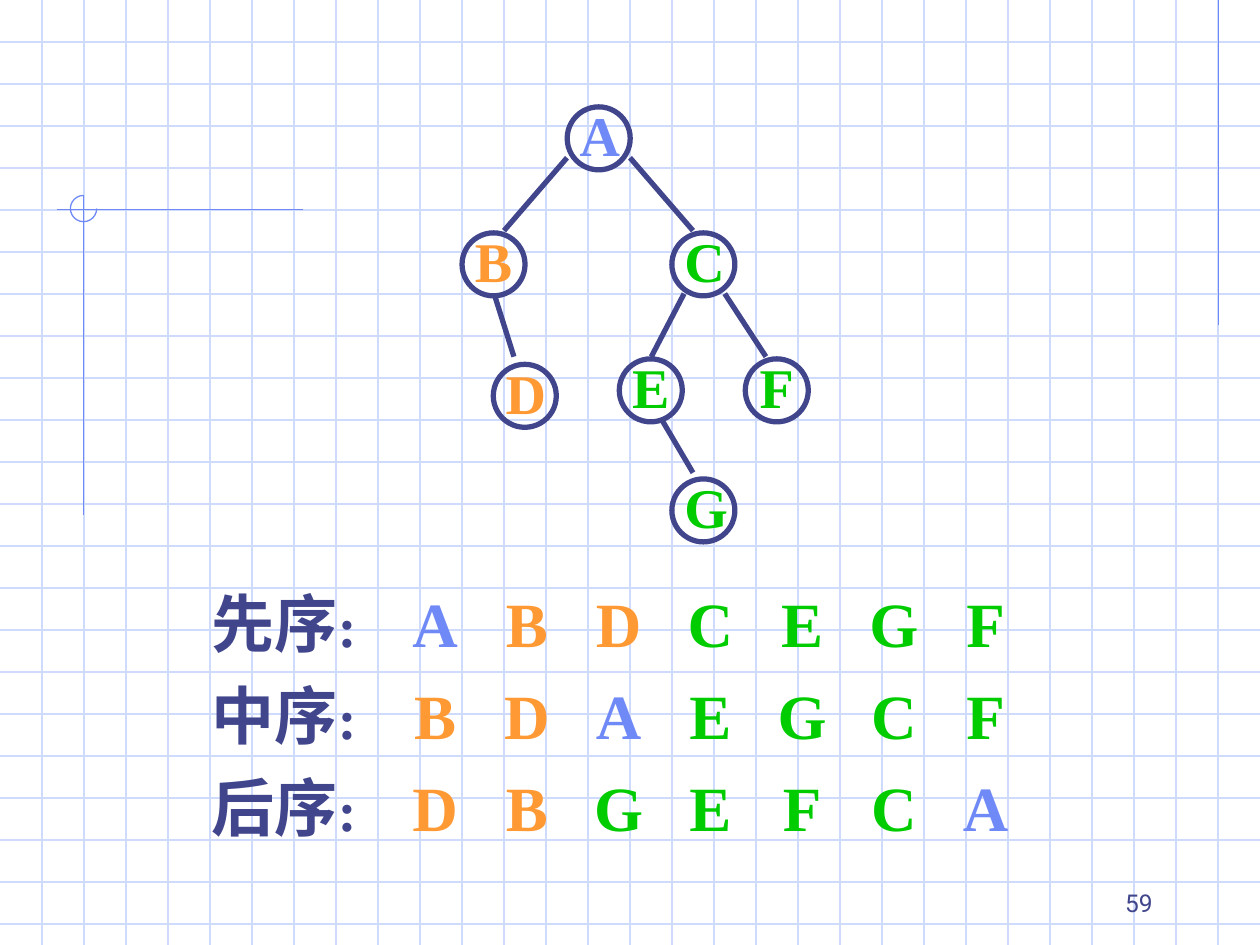
import lxml.etree
import pptx
import pptx.dml.color
import pptx.enum.shapes
import pptx.enum.text
import pptx.oxml.ns
import pptx.util

Cm = pptx.util.Cm
Pt = pptx.util.Pt
ALIGN = pptx.enum.text.PP_ALIGN
ANCHOR = pptx.enum.text.MSO_ANCHOR
SHAPE = pptx.enum.shapes.MSO_SHAPE

THEME = {
    "ink": "40458C", "root": "6F89F7", "left": "FF9933", "right": "00CC00",
    "grid": "CFDBFD", "serif": "Times New Roman", "sans": "Roboto",
    "node": 32, "order": 36, "colon": 32, "page": 14, "thin": 0.75, "thick": 3,
}

# Letter: centre x, centre y (cm), branch of the tree
NODES = {
    "A": (12.07, 2.79, "root"),
    "B": (9.95, 5.33, "left"),
    "C": (14.18, 5.33, "right"),
    "D": (10.58, 7.98, "left"),
    "E": (13.12, 7.87, "right"),
    "F": (15.66, 7.87, "right"),
    "G": (14.18, 10.29, "right"),
}
EDGES = [
    (11.43, 3.18, 10.16, 4.65),
    (12.7, 3.18, 13.97, 4.65),
    (9.96, 5.92, 10.36, 7.19),
    (13.79, 5.92, 13.13, 7.19),
    (14.61, 5.92, 15.44, 7.19),
    (13.34, 8.46, 13.97, 9.53),
]
ORDERS = [("先序", "ABDCEGF"), ("中序", "BDAEGCF"), ("后序", "DBGEFCA")]
RULES = [
    (24.56, 0, 24.56, 6.55),
    (6.1, 4.22, 1.14, 4.22),
    (1.69, 3.94, 1.69, 10.39),
]

WIDE, HIGH = 25.4, 19.05
STEP = 2.54 / 3
SIZE = 1.27
FIRST, PITCH = 4.5, 1.85

deck = pptx.Presentation()
deck.slide_width, deck.slide_height = Cm(WIDE), Cm(HIGH)
slide = deck.slides.add_slide(deck.slide_layouts[6])


def tint(name):
    return pptx.dml.color.RGBColor.from_string(THEME[name])


def rule(ends, color, width):
    line = slide.shapes.add_connector(
        pptx.enum.shapes.MSO_CONNECTOR.STRAIGHT, *map(Cm, ends))
    line.line.color.rgb = tint(color)
    line.line.width = Pt(THEME[width])
    props = line._element.spPr
    lxml.etree.SubElement(props, pptx.oxml.ns.qn("a:effectLst"))


def ring(kind, place, color, width):
    form = slide.shapes.add_shape(kind, *map(Cm, place))
    form.shadow.inherit = False
    form.fill.background()
    form.line.color.rgb = tint(color)
    form.line.width = Pt(THEME[width])
    return form


def write(paras, place, font="serif", bold=True, align=ALIGN.LEFT,
          anchor=ANCHOR.TOP, before=0, lines=None, tabs=(), grow=True):
    """Add a text box; each paragraph is a list of (text, colour, size)."""
    frame = slide.shapes.add_textbox(*map(Cm, place)).text_frame
    frame.word_wrap = True
    frame.vertical_anchor = anchor
    if grow:
        frame.auto_size = pptx.enum.text.MSO_AUTO_SIZE.SHAPE_TO_FIT_TEXT
    for i, runs in enumerate(paras):
        para = frame.add_paragraph() if i else frame.paragraphs[0]
        para.alignment = align
        para.space_before = Pt(before)
        if lines:
            para.line_spacing = lines
        if tabs:
            props = para._p.get_or_add_pPr()
            stops = lxml.etree.SubElement(props, pptx.oxml.ns.qn("a:tabLst"))
            for stop in tabs:
                lxml.etree.SubElement(stops, pptx.oxml.ns.qn("a:tab"),
                                      pos=str(Cm(stop)), algn="ctr")
        for text, color, size in runs:
            run = para.add_run()
            run.text = text
            run.font.name = THEME[font]
            run.font.size = Pt(THEME[size])
            run.font.bold = bold
            run.font.color.rgb = tint(color)


for i in range(1, 23):
    rule((0, i * STEP, WIDE, i * STEP), "grid", "thin")
for i in range(1, 30):
    rule((i * STEP, 0, i * STEP, HIGH), "grid", "thin")
for ends in RULES:
    rule(ends, "root", "thin")
curve = ring(SHAPE.ARC, (1.42, 3.94, 0.53, 0.53), "root", "thin")
# Three quarters of a turn: 270 degrees in units of 5/3 degree
curve.adjustments[0], curve.adjustments[1] = 0, 162

for letter, (x, y, branch) in NODES.items():
    left, top = x - SIZE / 2, y - SIZE / 2
    write([[(letter, branch, "node")]], (left, top - 0.25, SIZE, 1.63),
          align=ALIGN.CENTER, before=20)
for x, y, branch in NODES.values():
    ring(SHAPE.OVAL, (x - SIZE / 2, y - SIZE / 2, SIZE, SIZE), "ink", "thick")
for ends in EDGES:
    rule(ends, "ink", "thick")

rows = [
    [(label, "ink", "order"), (":", "ink", "colon")]
    + [("\t" + letter, NODES[letter][2], "order") for letter in letters]
    for label, letters in ORDERS
]
write(rows, (4.02, 12.07, 17.15, 5.05), before=22.5, lines=0.7,
      tabs=[FIRST + i * PITCH for i in range(len(NODES))])
write([[("59", "ink", "page")]], (18.21, 17.35, 5.28, 1.27), font="sans",
      bold=False, align=ALIGN.RIGHT, anchor=ANCHOR.BOTTOM, grow=False)

deck.save("out.pptx")
